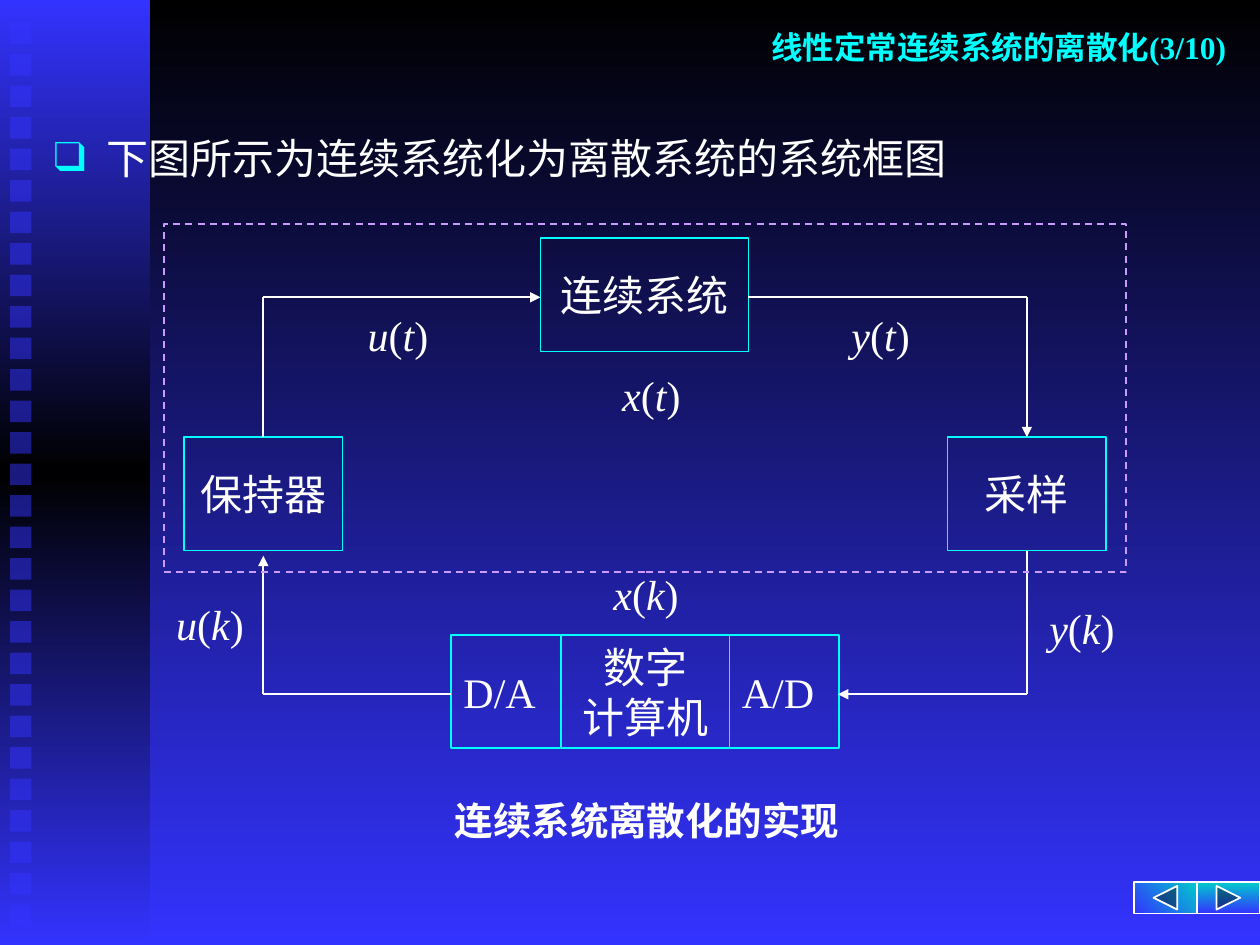
from copy import deepcopy
from itertools import groupby

from lxml import etree
from pptx import Presentation
from pptx.dml.color import RGBColor
from pptx.enum.dml import MSO_LINE
from pptx.enum.shapes import MSO_CONNECTOR, MSO_SHAPE
from pptx.enum.text import MSO_ANCHOR, PP_ALIGN
from pptx.oxml.ns import qn
from pptx.util import Inches, Pt

LEFT, CENTER, RIGHT = PP_ALIGN.LEFT, PP_ALIGN.CENTER, PP_ALIGN.RIGHT
TOP, MIDDLE = MSO_ANCHOR.TOP, MSO_ANCHOR.MIDDLE
RECTANGLE, STRAIGHT, DASH = MSO_SHAPE.RECTANGLE, MSO_CONNECTOR.STRAIGHT, MSO_LINE.DASH
BACK, FORWARD = MSO_SHAPE.ACTION_BUTTON_BACK_OR_PREVIOUS, MSO_SHAPE.ACTION_BUTTON_FORWARD_OR_NEXT

THEME = {
    "font": "Times New Roman",
    "white": "FFFFFF", "cyan": "00FFFF", "blue": "3333FF",
    "black": "000000", "teal": "00CCCC", "violet": "CC99FF",
    "title": 18, "body": 24, "caption": 22, "line": 1,
}

TITLE = "线性定常连续系统的离散化(3/10)"
STATEMENT = "下图所示为连续系统化为离散系统的系统框图"
CAPTION = "连续系统离散化的实现"

BLOCKS = [
    ("保持器", 1.46, 3.47, 1.26, CENTER),
    ("连续系统", 4.29, 1.89, 1.65, CENTER),
    ("采样", 7.52, 3.47, 1.26, CENTER),
    ("D/A", 3.58, 5.04, 0.87, LEFT),
    ("数字\n计算机", 4.45, 5.04, 1.34, CENTER),
    ("A/D", 5.79, 5.04, 0.87, LEFT),
]
BLOCK_HEIGHT = 0.9
SIGNALS = [
    ("u(t)", 2.82, 2.41), ("y(t)", 6.66, 2.41), ("x(t)", 4.84, 2.88),
    ("u(k)", 1.3, 4.7), ("y(k)", 8.23, 4.73), ("x(k)", 4.77, 4.46),
]
SIGNAL_WIDTH, SIGNAL_HEIGHT = 0.8, 0.5
ROUTES = [
    [(2.09, 3.47), (2.09, 2.36), (4.29, 2.36)],
    [(5.94, 2.36), (8.15, 2.36), (8.15, 3.47)],
    [(8.15, 4.37), (8.15, 5.51), (6.65, 5.51)],
    [(3.58, 5.51), (2.09, 5.51), (2.09, 4.41)],
]
BUTTONS = [(BACK, 9, 135), (FORWARD, 9.5, 90)]
SQUARE_COUNT, SQUARE_TOP, SQUARE_STEP, SQUARE_SIZE = 29, 0.18, 0.25, 0.17


def color(name):
    return RGBColor.from_string(THEME[name])


def paint_gradient(owner, fill, names, angle):
    fill.gradient()
    stop_list = next(owner.element.iter(qn("a:gsLst")))
    while len(stop_list) < len(names):
        stop_list.append(deepcopy(stop_list[-1]))
    fill.gradient_angle = 360 - angle
    for index, (stop, name) in enumerate(zip(fill.gradient_stops, names)):
        stop.color.rgb = color(name)
        stop.position = index / (len(names) - 1)


def add_box(page, left, top, width, height, kind=RECTANGLE, line=None):
    box = page.shapes.add_shape(kind, Inches(left), Inches(top), Inches(width), Inches(height))
    box.shadow.inherit = False
    box.fill.background()
    if line:
        box.line.color.rgb = color(line)
        box.line.width = Pt(THEME["line"])
    else:
        box.line.fill.background()
    return box


def add_text_box(page, left, top, width, height):
    return page.shapes.add_textbox(Inches(left), Inches(top), Inches(width), Inches(height))


def add_bullet(para, mark):
    properties = para._p.get_or_add_pPr()
    properties.set("marL", str(Inches(0.42)))
    properties.set("indent", str(-Inches(0.42)))
    bullet_color = etree.SubElement(properties, qn("a:buClr"))
    etree.SubElement(bullet_color, qn("a:srgbClr"), val=THEME["cyan"])
    etree.SubElement(properties, qn("a:buFont"), typeface=THEME["font"])
    etree.SubElement(properties, qn("a:buChar"), char=mark)


def write(box, text, size="body", fill="white", align=LEFT, anchor=MIDDLE,
          bold=False, formula=False, wrap=True, bullet=None):
    frame = box.text_frame
    frame.word_wrap = wrap
    frame.vertical_anchor = anchor
    para = frame.paragraphs[0]
    para.alignment = align
    if bullet:
        add_bullet(para, bullet)
    for index, row in enumerate(text.split("\n")):
        if index:
            para.add_line_break()
        parts = groupby(row, str.isalpha) if formula else [(False, row)]
        for italic, letters in parts:
            span = para.add_run()
            span.text = "".join(letters)
            span.font.name = THEME["font"]
            span.font.size = Pt(THEME[size])
            span.font.color.rgb = color(fill)
            span.font.bold = bold
            span.font.italic = italic


def add_line(page, start, end, arrow):
    line = page.shapes.add_connector(STRAIGHT, *(Inches(value) for value in start + end))
    line.line.color.rgb = color("white")
    line.line.width = Pt(THEME["line"])
    properties = line.element.spPr
    if arrow:
        etree.SubElement(properties.get_or_add_ln(), qn("a:tailEnd"), type="triangle")
    etree.SubElement(properties, qn("a:effectLst"))


def draw_backdrop(page):
    paint_gradient(page, page.background.fill, ["black", "blue"], 90)
    sidebar = add_box(page, 0, 0, 1.19, 7.5)
    paint_gradient(sidebar, sidebar.fill, ["blue", "black", "blue"], 90)
    for index in range(SQUARE_COUNT):
        square = add_box(page, 0.08, SQUARE_TOP + index * SQUARE_STEP, SQUARE_SIZE, SQUARE_SIZE)
        square.fill.solid()
        square.fill.fore_color.rgb = color("blue")
        tint = next(square.element.spPr.iter(qn("a:srgbClr")))
        etree.SubElement(tint, qn("a:alpha"), val="50000")
    for kind, left, angle in BUTTONS:
        button = add_box(page, left, 7, 0.5, 0.25, kind=kind, line="white")
        paint_gradient(button, button.fill, ["teal", "blue"], angle)


def draw_diagram(page):
    for text, left, top, width, align in BLOCKS:
        block = add_box(page, left, top, width, BLOCK_HEIGHT, line="cyan")
        write(block, text, align=align)
    for route in ROUTES:
        for index, (start, end) in enumerate(zip(route, route[1:])):
            add_line(page, start, end, arrow=index == len(route) - 2)
    for text, left, top in SIGNALS:
        label = add_text_box(page, left, top, SIGNAL_WIDTH, SIGNAL_HEIGHT)
        write(label, text, formula=True, anchor=TOP)
    border = add_box(page, 1.3, 1.78, 7.64, 2.76, line="violet")
    border.line.dash_style = DASH


def main():
    deck = Presentation()
    deck.slide_width, deck.slide_height = Inches(10), Inches(7.5)
    page = deck.slides.add_slide(deck.slide_layouts[6])
    draw_backdrop(page)
    write(add_text_box(page, 0.33, 1, 9.39, 0.62), STATEMENT, anchor=TOP, bullet="❑")
    write(add_text_box(page, 3.51, 6.27, 3.25, 0.47), CAPTION,
          size="caption", align=CENTER, bold=True, wrap=False)
    draw_diagram(page)
    write(add_text_box(page, 1.33, 0.25, 8.5, 0.25), TITLE,
          size="title", fill="cyan", align=RIGHT, bold=True)
    deck.save("out.pptx")


if __name__ == "__main__":
    main()
